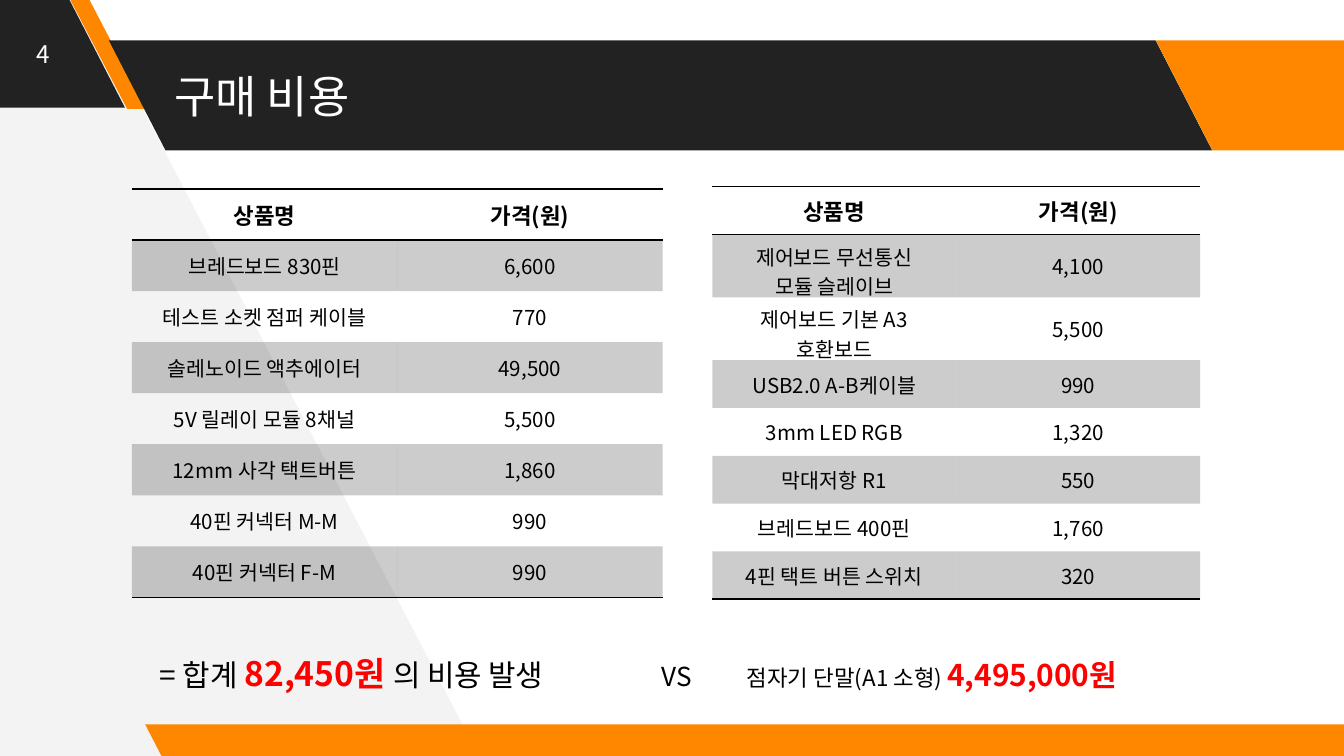
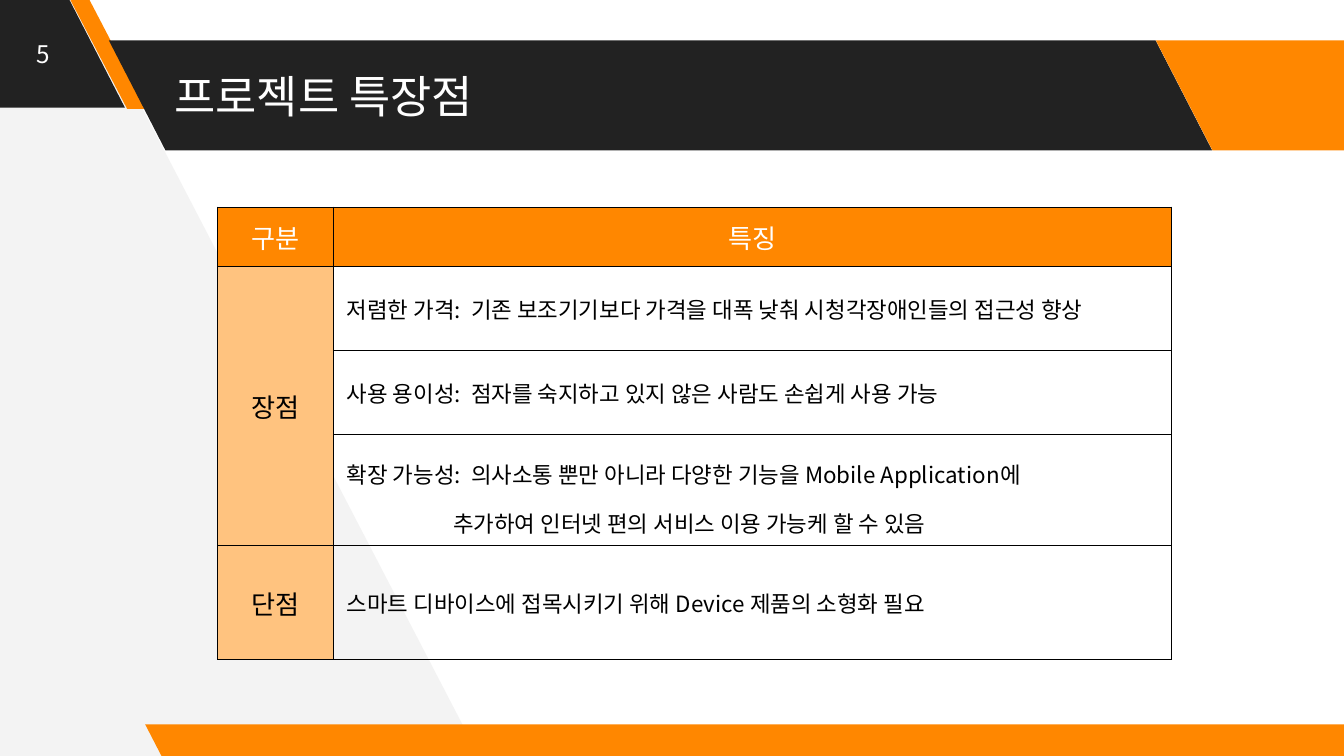
"""Builds the cost and feature slides of a project presentation."""
from lxml import etree
from pptx import Presentation
from pptx.dml.color import RGBColor
from pptx.enum import shapes, text
from pptx.oxml import ns
from pptx.util import Pt

FONT = "Noto Sans CJK KR"
WHITE = RGBColor(0xFF, 0xFF, 0xFF)
BLACK = RGBColor(0, 0, 0)
DARK = RGBColor(0x22, 0x22, 0x22)
ORANGE = RGBColor(0xFF, 0x87, 0x00)
PEACH = RGBColor(0xFF, 0xC3, 0x7F)
PALE = RGBColor(0xF3, 0xF3, 0xF3)
RED = RGBColor(0xFF, 0, 0)
PLAIN_STYLE = "{2D5ABB26-0587-4C30-8999-92F81FD0307C}"
CENTER = text.PP_ALIGN.CENTER
MIDDLE = text.MSO_ANCHOR.MIDDLE

WEDGE = [(256.3, 404.6), (44.6, -2.9), (-4.3, -2.9), (-1.4, 407.5)]
BANDS = [
    ((-71.3, -1.4, 138.2, 59), 0.515, DARK),
    ((37.4, -0.7, 41, 59), 0.75, ORANGE),
    ((58.3, 21.6, 591.1, 59), 0.515, DARK),
    ((619.2, 21.6, 138.2, 59), 0.515, ORANGE),
    ((77.8, 388.1, 658.8, 18), 0.515, ORANGE),
]

PRICE_HEADER = ("상품명", "가격(원)")
PARTS = [
    PRICE_HEADER,
    ("브레드보드 830핀", "6,600"),
    ("테스트 소켓 점퍼 케이블", "770"),
    ("솔레노이드 액추에이터", "49,500"),
    ("5V 릴레이 모듈 8채널", "5,500"),
    ("12mm 사각 택트버튼", "1,860"),
    ("40핀 커넥터 M-M", "990"),
    ("40핀 커넥터 F-M", "990"),
]
BOARDS = [
    PRICE_HEADER,
    ("제어보드 무선통신\n모듈 슬레이브", "4,100"),
    ("제어보드 기본 A3\n호환보드", "5,500"),
    ("USB2.0 A-B케이블", "990"),
    ("3mm LED RGB", "1,320"),
    ("막대저항 R1", "550"),
    ("브레드보드 400핀", "1,760"),
    ("4핀 택트 버튼 스위치", "320"),
]
TOTALS = [
    ("= 합계 ", 16, BLACK, False),
    ("82,450원 ", 18, RED, True),
    ("의 비용 발생\t", 16, BLACK, False),
    ("VS\t", 14, BLACK, False),
    ("점자기 단말(A1 소형) ", 12, BLACK, False),
    ("4,495,000원", 16, RED, True),
]
TOTAL_STOPS = (269, 314.5)
FEATURES = [
    ("구분", "특징"),
    ("장점", "저렴한 가격:  기존 보조기기보다 가격을 대폭 낮춰 시청각장애인들의 접근성 향상"),
    ("", "사용 용이성:  점자를 숙지하고 있지 않은 사람도 손쉽게 사용 가능"),
    ("", "확장 가능성:  의사소통 뿐만 아니라 다양한 기능을 Mobile Application에"
         "\v추가하여 인터넷 편의 서비스 이용 가능케 할 수 있음"),
    ("단점", "스마트 디바이스에 접목시키기 위해 Device 제품의 소형화 필요"),
]


def points(box):
    """Turn a box of point values into lengths."""
    return [Pt(value) for value in box]


def add_node(parent, tag, **attributes):
    """Append a drawing element to a parent."""
    return etree.SubElement(parent, ns.qn(tag), attributes)


def style_run(run, size, color, bold=False):
    """Give a run its font, size, colour and weight."""
    run.font.name = FONT
    run.font.size = Pt(size)
    run.font.bold = bold
    run.font.color.rgb = color
    add_node(run.font._element, "a:ea", typeface=FONT)


def style_frame(frame, size, color, bold=False, align=None):
    """Format every paragraph and run of a text frame."""
    for paragraph in frame.paragraphs:
        paragraph.alignment = align
        for run in paragraph.runs:
            style_run(run, size, color, bold)


def paint(shape, color):
    """Fill a shape with a flat colour and no outline or shadow."""
    shape.shadow.inherit = False
    shape.fill.solid()
    shape.fill.fore_color.rgb = color
    shape.line.fill.background()


def add_label(slide, box, words, size, align=None):
    """Add white, vertically centred text in a box."""
    frame = slide.shapes.add_textbox(*points(box)).text_frame
    frame.word_wrap = True
    frame.vertical_anchor = MIDDLE
    frame.margin_top = frame.margin_bottom = Pt(7.2)
    frame.text = words
    style_frame(frame, size, WHITE, align=align)


def add_base(deck, title, number):
    """Add a slide with the shared bands, title and number."""
    slide = deck.slides.add_slide(deck.slide_layouts[6])
    corners = [points(corner) for corner in WEDGE]
    outline = slide.shapes.build_freeform(*corners[0], scale=1.0)
    outline.add_line_segments(corners[1:], close=True)
    paint(outline.convert_to_shape(), PALE)
    for box, slant, color in BANDS:
        band = slide.shapes.add_shape(shapes.MSO_SHAPE.PARALLELOGRAM, *points(box))
        band.adjustments[0] = slant
        band.element.spPr.xfrm.set("flipH", "1")
        paint(band, color)
    add_label(slide, (86.4, 21.6, 596.2, 59), title, 24)
    add_label(slide, (0, 0, 46.8, 57.6), str(number), 13, CENTER)
    return slide


def add_grid(slide, left, top, widths, heights):
    """Add an unstyled table with the given columns and rows."""
    box = (left, top, sum(widths), sum(heights))
    frame = slide.shapes.add_table(len(heights), len(widths), *points(box))
    table = frame.table
    table.first_row = table.horz_banding = False
    table._tbl.tblPr.find(ns.qn("a:tableStyleId")).text = PLAIN_STYLE
    for column, width in zip(table.columns, widths):
        column.width = Pt(width)
    for row, height in zip(table.rows, heights):
        row.height = Pt(height)
    return table


def draw_borders(cell, sides, width):
    """Draw black lines on the given sides, in L, R, T, B order."""
    properties = cell._tc.get_or_add_tcPr()
    for side in sides:
        line = add_node(properties, f"a:ln{side}", w=str(Pt(width)))
        fill = add_node(line, "a:solidFill")
        add_node(fill, "a:srgbClr", val=str(BLACK))


def fill_cell(cell, color, alpha=None):
    """Fill a cell, partly transparent when alpha is given."""
    cell.fill.solid()
    cell.fill.fore_color.rgb = color
    if alpha:
        solid = cell._tc.tcPr.find(ns.qn("a:solidFill"))
        add_node(solid[0], "a:alpha", val=str(alpha * 1000))


def add_prices(slide, left, top, width, heights, items):
    """Add a two-column price list with shaded odd rows."""
    table = add_grid(slide, left, top, [width / 2] * 2, heights)
    for r, item in enumerate(items):
        for c, words in enumerate(item):
            cell = table.cell(r, c)
            cell.vertical_anchor = MIDDLE
            cell.text_frame.text = words
            style_frame(cell.text_frame, 11 if r else 12, BLACK, r == 0, CENTER)
            if r == 0:
                draw_borders(cell, "TB", 1)
            elif r == len(items) - 1:
                draw_borders(cell, "B", 1)
            if r % 2:
                fill_cell(cell, BLACK, 20)


def add_totals(slide, box):
    """Add the line that compares the two costs."""
    frame = slide.shapes.add_textbox(*points(box)).text_frame
    frame.word_wrap = True
    line = frame.paragraphs[0]
    stops = add_node(line._p.get_or_add_pPr(), "a:tabLst")
    for stop in TOTAL_STOPS:
        add_node(stops, "a:tab", pos=str(Pt(stop)), algn="l")
    for words, size, color, bold in TOTALS:
        run = line.add_run()
        run.text = words
        style_run(run, size, color, bold)


def add_features(slide, left, top, widths, heights):
    """Add the table of strengths and weaknesses."""
    table = add_grid(slide, left, top, widths, heights)
    for r, feature in enumerate(FEATURES):
        for c, words in enumerate(feature):
            cell = table.cell(r, c)
            cell.vertical_anchor = MIDDLE
            cell.text_frame.text = words
            heading = r == 0 or c == 0
            style_frame(cell.text_frame, 14 if heading else 12,
                        BLACK if r else WHITE, align=CENTER if heading else None)
            draw_borders(cell, "LRTB", 0.75)
            if heading:
                fill_cell(cell, PEACH if r else ORANGE)
            if "\v" in words:
                paragraph = cell.text_frame.paragraphs[0]
                paragraph.line_spacing = 1.5
                hanging = paragraph._p.get_or_add_pPr()
                hanging.set("marL", str(Pt(57)))
                hanging.set("indent", str(-Pt(57)))
    table.cell(1, 0).merge(table.cell(3, 0))


def add_cost_slide(deck):
    """Add the slide of purchase costs."""
    slide = add_base(deck, "구매 비용", 4)
    add_totals(slide, (78.5, 346.3, 651.6, 46))
    add_prices(slide, 70.6, 101.2, 284.4, [27.36] * 8, PARTS)
    add_prices(slide, 381.6, 100, 261.4, [25.65] + [33] * 2 + [25.65] * 5, BOARDS)


def add_feature_slide(deck):
    """Add the slide of project features."""
    slide = add_base(deck, "프로젝트 특장점", 5)
    add_features(slide, 116.6, 111, (62, 449), (31.6, 45.2, 45.2, 59.3, 61.3))


def main():
    """Build and save the presentation."""
    deck = Presentation()
    deck.slide_width, deck.slide_height = Pt(720), Pt(405)
    add_cost_slide(deck)
    add_feature_slide(deck)
    deck.save("out.pptx")


if __name__ == "__main__":
    main()
